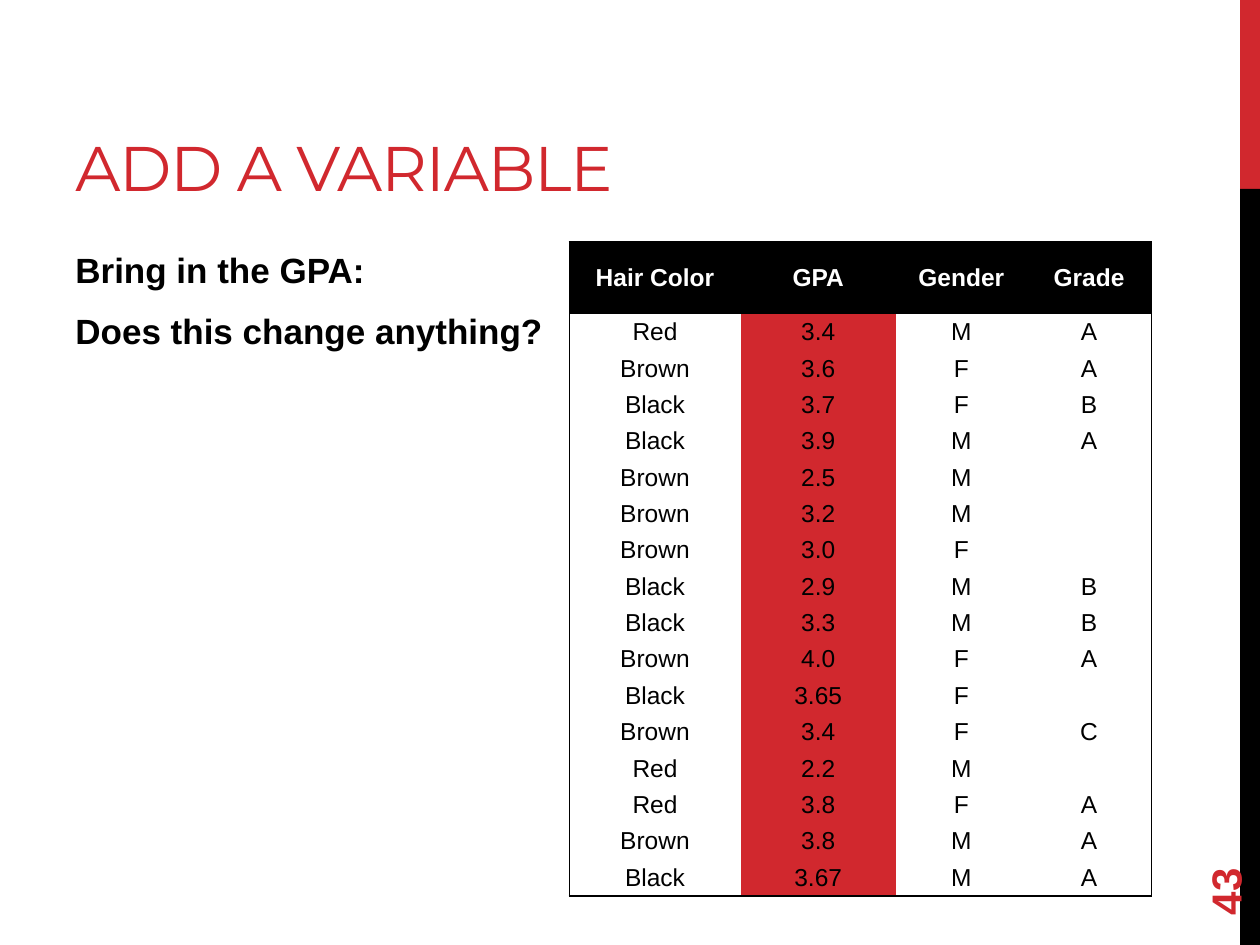
from dataclasses import dataclass

from lxml import etree
from pptx import Presentation
from pptx import util as u
from pptx.dml.color import RGBColor
from pptx.enum import shapes, text
from pptx.oxml.ns import qn


@dataclass(frozen=True)
class Theme:
    red: str = "D1282E"
    black: str = "000000"
    white: str = "FFFFFF"
    head: str = "Montserrat"
    body: str = "Arial"
    title: int = 36
    number: int = 24
    point: int = 20
    cell: int = 14


T = Theme()
PLAIN = "{2D5ABB26-0587-4C30-8999-92F81FD0307C}"  # table style without fill or grid
HEADS = ["Hair Color", "GPA", "Gender", "Grade"]
ROWS = [
    ("Red", "3.4", "M", "A"),
    ("Brown", "3.6", "F", "A"),
    ("Black", "3.7", "F", "B"),
    ("Black", "3.9", "M", "A"),
    ("Brown", "2.5", "M", ""),
    ("Brown", "3.2", "M", ""),
    ("Brown", "3.0", "F", ""),
    ("Black", "2.9", "M", "B"),
    ("Black", "3.3", "M", "B"),
    ("Brown", "4.0", "F", "A"),
    ("Black", "3.65", "F", ""),
    ("Brown", "3.4", "F", "C"),
    ("Red", "2.2", "M", ""),
    ("Red", "3.8", "F", "A"),
    ("Brown", "3.8", "M", "A"),
    ("Black", "3.67", "M", "A"),
]


def paint(fill, color):
    fill.solid()
    fill.fore_color.rgb = RGBColor.from_string(color)


def write(para, words, size, color=T.black, font=T.body, bold=False,
          align=text.PP_ALIGN.LEFT, track=None):
    para.alignment = align
    if not words:  # an empty line still needs its height
        para._p.get_or_add_endParaRPr().set("sz", str(size * 100))
        return
    run = para.add_run()
    run.text = words
    run.font.size = u.Pt(size)
    run.font.name = font
    run.font.bold = bold
    run.font.color.rgb = RGBColor.from_string(color)
    if track:
        run.font._element.set("spc", str(track))


def add_bar(slide, top, height, color):
    bar = slide.shapes.add_shape(shapes.MSO_SHAPE.RECTANGLE, u.Cm(25),
                                 u.Cm(top), u.Cm(0.4), u.Cm(height))
    bar.shadow.inherit = False
    paint(bar.fill, color)
    bar.line.fill.background()


def add_box(slide, left, top, width, height, lines, anchor, turn=0, **style):
    box = slide.shapes.add_textbox(u.Cm(left), u.Cm(top), u.Cm(width), u.Cm(height))
    box.rotation = turn
    frame = box.text_frame
    frame.word_wrap = True
    frame.vertical_anchor = anchor
    for i, line in enumerate(lines):
        para = frame.add_paragraph() if i else frame.paragraphs[0]
        if i:
            para.space_before = u.Pt(11)
        write(para, line, **style)


def add_edge(cell, side):
    props = cell._tc.get_or_add_tcPr()
    line = etree.SubElement(props, qn("a:ln" + side), w=str(u.Pt(1)))
    fill = etree.SubElement(line, qn("a:solidFill"))
    etree.SubElement(fill, qn("a:srgbClr"), val=T.black)


def add_grid(slide):
    widths = [3.45, 3.13, 2.64, 2.51]
    full, head = 13.18, 1.45
    count = len(ROWS) + 1
    frame = slide.shapes.add_table(count, len(HEADS), u.Cm(11.48), u.Cm(4.88),
                                   u.Cm(sum(widths)), u.Cm(full))
    table = frame.table
    table.horz_banding = False
    table._tbl.tblPr.find(qn("a:tableStyleId")).text = PLAIN
    for col, width in zip(table.columns, widths):
        col.width = u.Cm(width)
    for r, row in enumerate(table.rows):
        row.height = u.Cm((full - head) / len(ROWS) if r else head)

    for r, words in enumerate([HEADS] + ROWS):
        for c, word in enumerate(words):
            cell = table.cell(r, c)
            cell.margin_left = cell.margin_right = 0
            cell.margin_top = cell.margin_bottom = 0
            cell.vertical_anchor = text.MSO_ANCHOR.MIDDLE
            edges = {"L": c == 0, "R": c == len(HEADS) - 1,
                     "T": r == 0, "B": r == count - 1}
            for side, outer in edges.items():
                if outer:
                    add_edge(cell, side)
            if r == 0:
                paint(cell.fill, T.black)
            elif HEADS[c] == "GPA":
                paint(cell.fill, T.red)
            else:
                cell.fill.background()
            write(cell.text_frame.paragraphs[0], word, T.cell,
                  color=T.black if r else T.white, bold=r == 0,
                  align=text.PP_ALIGN.CENTER)


def main():
    deck = Presentation()
    deck.slide_width, deck.slide_height = u.Cm(25.4), u.Cm(19.05)
    slide = deck.slides.add_slide(deck.slide_layouts[6])
    add_bar(slide, 0, 3.81, T.red)
    add_bar(slide, 3.81, 15.24, T.black)
    add_box(slide, 1.27, 0.43, 16.08, 3.81, ["ADD A VARIABLE"],
            text.MSO_ANCHOR.BOTTOM, size=T.title, color=T.red,
            font=T.head, track=-60)
    add_box(slide, 1.27, 4.88, 21.16, 12.14,
            ["Bring in the GPA:", "Does this change anything?"],
            text.MSO_ANCHOR.TOP, size=T.point, bold=True)
    add_grid(slide)
    add_box(slide, 22.86, 16.36, 3.66, 1.02, ["43"], text.MSO_ANCHOR.MIDDLE,
            turn=270, size=T.number, color=T.red, bold=True)
    deck.save("out.pptx")


if __name__ == "__main__":
    main()
